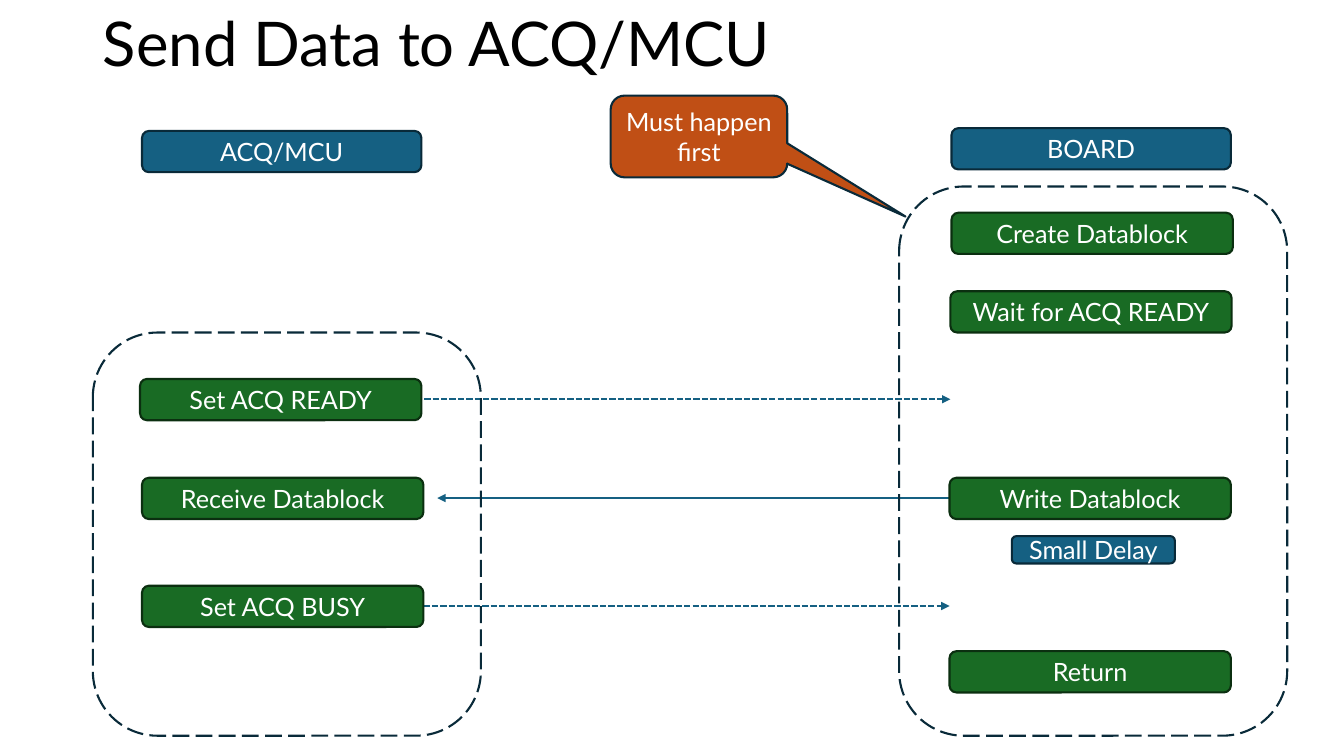
"""Build the slide showing the data transfer sequence between BOARD and ACQ/MCU."""
from lxml.etree import SubElement
from pptx import Presentation
from pptx.dml.color import RGBColor
from pptx.enum.dml import MSO_LINE
from pptx.enum.shapes import MSO_CONNECTOR, MSO_SHAPE
from pptx.enum.text import MSO_ANCHOR, MSO_AUTO_SIZE, PP_ALIGN
from pptx.oxml.ns import qn
from pptx.util import Cm, Pt

COLORS = {
    "blue": "156082", "navy": "092A39",
    "green": "196B24", "dark green": "0B2F10",
    "orange": "C04F15", "white": "FFFFFF", "black": "000000",
}
BOX_HEIGHT = 1.04
HEADER_WIDTH, STEP_WIDTH = 7.04, 7.09


def rgb(name):
    return RGBColor.from_string(COLORS[name])


def add_block(kind, bounds, fill, outline, label=""):
    block = slide.shapes.add_shape(kind, *map(Cm, bounds))
    block.shadow.inherit = False
    block.line.color.rgb = rgb(outline)
    block.line.width = Pt(1.5)
    if fill:
        block.fill.solid()
        block.fill.fore_color.rgb = rgb(fill)
    else:
        block.fill.background()
    if label:
        frame = block.text_frame
        frame.text = label
        frame.word_wrap = True
        frame.vertical_anchor = MSO_ANCHOR.MIDDLE
        frame.paragraphs[0].alignment = PP_ALIGN.CENTER
        font = frame.paragraphs[0].runs[0].font
        font.name, font.size = "Lato", Pt(18)
        font.color.rgb = rgb("white")
    return block


presentation = Presentation()
presentation.slide_width, presentation.slide_height = Cm(33.87), Cm(19.05)
slide = presentation.slides.add_slide(presentation.slide_layouts[5])

title = slide.shapes.title
title.left, title.top, title.width, title.height = map(Cm, (2.34, 0.15, 29.21, 2.06))
title.text_frame.text = "Send Data to ACQ/MCU"
title.text_frame.auto_size = MSO_AUTO_SIZE.NONE
title.text_frame.vertical_anchor = MSO_ANCHOR.MIDDLE
heading = title.text_frame.paragraphs[0]
heading.alignment = PP_ALIGN.LEFT
heading.line_spacing = 0.9
heading_font = heading.runs[0].font
heading_font.name, heading_font.size = "Lato", Pt(44)
heading_font.color.rgb = rgb("black")

messages = [
    (10.69, 23.95, 10.06, MSO_LINE.SQUARE_DOT),
    (28.17, 11.02, 12.55, MSO_LINE.SOLID),
    (10.67, 23.93, 15.27, MSO_LINE.SQUARE_DOT),
]
for start, end, level, dash in messages:
    message = slide.shapes.add_connector(
        MSO_CONNECTOR.STRAIGHT, Cm(start), Cm(level), Cm(end), Cm(level))
    message.line.color.rgb = rgb("blue")
    message.line.width = Pt(1.5)
    message.line.dash_style = dash
    outline = message._element.spPr.find(qn("a:ln"))
    SubElement(outline, qn("a:tailEnd"), type="triangle")
    SubElement(message._element.spPr, qn("a:effectLst"))

headers = [
    ("ACQ/MCU", 3.58, 3.3, HEADER_WIDTH, BOX_HEIGHT),
    ("BOARD", 23.98, 3.23, HEADER_WIDTH, BOX_HEIGHT),
    ("Small Delay", 25.5, 13.51, 4.11, 0.69),
]
for label, *bounds in headers:
    add_block(MSO_SHAPE.ROUNDED_RECTANGLE, bounds, "blue", "navy", label)

steps = [
    ("Create Datablock", 23.98, 5.36),
    ("Wait for ACQ READY", 23.95, 7.34),
    ("Set ACQ READY", 3.53, 9.55),
    ("Write Datablock", 23.93, 12.04),
    ("Receive Datablock", 3.58, 12.04),
    ("Set ACQ BUSY", 3.58, 14.76),
    ("Return", 23.93, 16.41),
]
for label, left, top in steps:
    add_block(MSO_SHAPE.ROUNDED_RECTANGLE, (left, top, STEP_WIDTH, BOX_HEIGHT),
              "green", "dark green", label)

for left, top, height in [(2.34, 8.38, 10.16), (22.66, 4.7, 13.84)]:
    lane = add_block(MSO_SHAPE.ROUNDED_RECTANGLE, (left, top, 9.78, height), None, "navy")
    lane.line.dash_style = MSO_LINE.LONG_DASH

precondition = add_block(MSO_SHAPE.ROUNDED_RECTANGULAR_CALLOUT, (15.39, 2.41, 4.45, 2.06),
                         "orange", "navy", "Must happen first")
for index, adjustment in enumerate((1.17, 0.98, 0.17)):
    precondition.adjustments[index] = adjustment

presentation.save("out.pptx")
